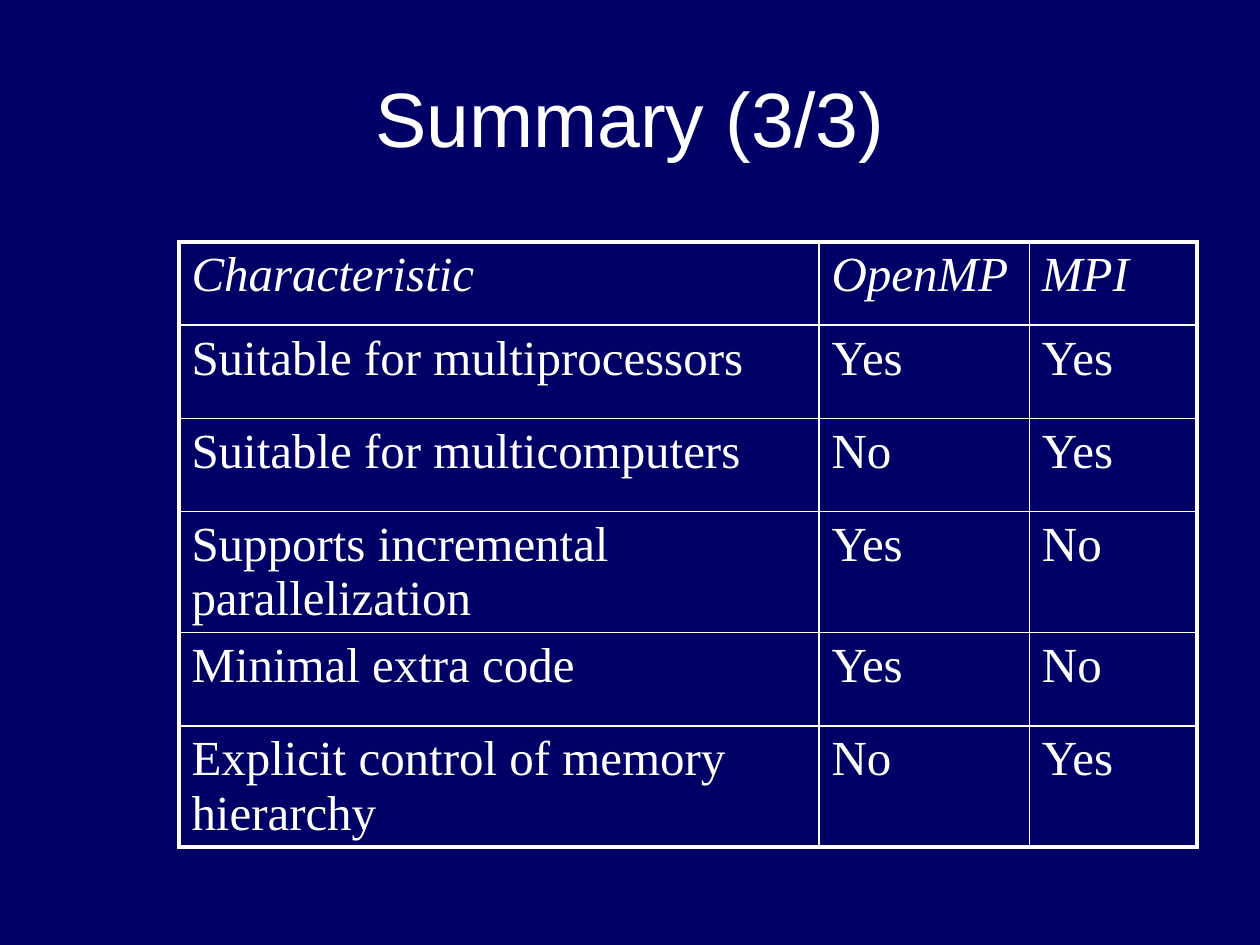
from lxml import etree
from pptx import Presentation
from pptx.dml.color import RGBColor
from pptx.enum.text import MSO_ANCHOR, PP_ALIGN
from pptx.oxml.ns import qn
from pptx.util import Inches, Pt

MIDDLE, TOP = MSO_ANCHOR.MIDDLE, MSO_ANCHOR.TOP
CENTER, LEFT = PP_ALIGN.CENTER, PP_ALIGN.LEFT
NAVY = RGBColor(0x00, 0x00, 0x66)
WHITE = RGBColor(0xFF, 0xFF, 0xFF)
TITLE_FONT = {"name": "Arial", "size": Pt(44), "bold": False}
CELL_FONT = {"name": "Times New Roman", "size": Pt(28), "bold": False}
OUTER, INNER = Pt(2.25), Pt(1)
TITLE_BOX = (0.5, 0.3, 9, 1.25)
TABLE_BOX = (1.42, 1.92, 8.08, 4.36)
COLUMN_WIDTHS = (5.08, 1.67, 1.33)
ROW_HEIGHTS = (0.66,) + (0.74,) * 5
ROWS = (
    ("Characteristic", "OpenMP", "MPI"),
    ("Suitable for multiprocessors", "Yes", "Yes"),
    ("Suitable for multicomputers", "No", "Yes"),
    ("Supports incremental parallelization", "Yes", "No"),
    ("Minimal extra code", "Yes", "No"),
    ("Explicit control of memory hierarchy", "No", "Yes"),
)


def write_text(frame, text, align, formats):
    para = frame.paragraphs[0]
    para.alignment = align
    span = para.add_run()
    span.text = text
    for name, value in formats.items():
        setattr(span.font, name, value)
    span.font.color.rgb = WHITE


def set_borders(cell, widths):
    properties = cell._tc.get_or_add_tcPr()
    for position, (side, width) in enumerate(widths.items()):
        line = etree.Element(qn(f"a:ln{side}"), w=str(width))
        fill = etree.SubElement(line, qn("a:solidFill"))
        etree.SubElement(fill, qn("a:srgbClr"), val=str(WHITE))
        properties.insert(position, line)


def place_title(page, box):
    title = page.shapes.title
    title.left, title.top, title.width, title.height = map(Inches, box)
    title.text_frame.vertical_anchor = MIDDLE
    write_text(title.text_frame, "Summary (3/3)", CENTER, TITLE_FONT)


def place_table(page, box):
    table = page.shapes.add_table(len(ROWS), len(COLUMN_WIDTHS), *map(Inches, box)).table
    table.first_row = table.horz_banding = False
    for column, width in zip(table.columns, COLUMN_WIDTHS):
        column.width = Inches(width)
    for row, height in zip(table.rows, ROW_HEIGHTS):
        row.height = Inches(height)
    last_row, last_column = len(ROWS) - 1, len(COLUMN_WIDTHS) - 1
    for r, texts in enumerate(ROWS):
        for c, text in enumerate(texts):
            cell = table.cell(r, c)
            cell.fill.background()
            cell.vertical_anchor = TOP
            write_text(cell.text_frame, text, LEFT, {**CELL_FONT, "italic": r == 0})
            set_borders(cell, {
                "L": OUTER if c == 0 else INNER,
                "R": OUTER if c == last_column else INNER,
                "T": OUTER if r == 0 else INNER,
                "B": OUTER if r == last_row else INNER,
            })


def main():
    deck = Presentation()
    deck.slide_width, deck.slide_height = Inches(10), Inches(7.5)
    page = deck.slides.add_slide(deck.slide_layouts[5])
    page.background.fill.solid()
    page.background.fill.fore_color.rgb = NAVY
    place_title(page, TITLE_BOX)
    place_table(page, TABLE_BOX)
    deck.save("out.pptx")


if __name__ == "__main__":
    main()
